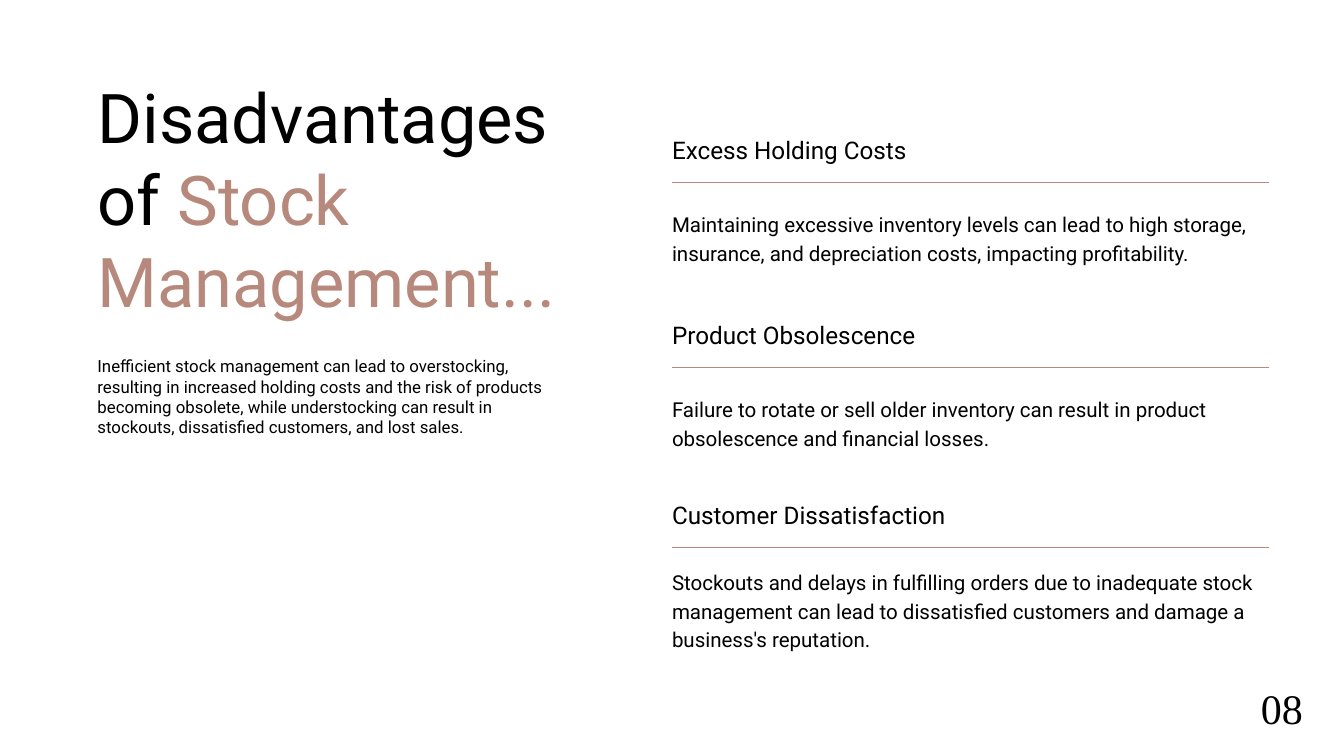
from lxml.etree import SubElement
from pptx import Presentation
from pptx.dml.color import RGBColor
from pptx.enum.shapes import MSO_CONNECTOR as Connector
from pptx.enum.text import PP_ALIGN as Align
from pptx.oxml.ns import qn
from pptx.util import Pt

COLORS = {"background": "FFFFFF", "text": "000000", "accent": "B6897C"}

FORMATS = {
    "title": {"size": 73.5, "name": "Roboto", "line_spacing": 88.2},
    "summary": {"size": 18, "name": "Roboto"},
    "heading": {"size": 26, "name": "Roboto", "line_spacing": 36.4},
    "body": {"size": 22, "name": "Roboto", "line_spacing": 30.8},
    "page_number": {"size": 45, "name": "Times New Roman", "line_spacing": 63,
                    "alignment": Align.CENTER},
}

TITLE = [("Disadvantages of ", "text"), ("Stock Management...", "accent")]
SUMMARY = ("Inefficient stock management can lead to overstocking, resulting in "
           "increased holding costs and the risk of products becoming obsolete, "
           "while understocking can result in stockouts, dissatisfied customers, "
           "and lost sales.")

# Section top, body top, heading, body
SECTIONS = [
    (139.7, 222.5, "Excess Holding Costs",
     "Maintaining excessive inventory levels can lead to high storage, insurance, "
     "and depreciation costs, impacting profitability."),
    (337.7, 421.2, "Product Obsolescence",
     "Failure to rotate or sell older inventory can result in product "
     "obsolescence and financial losses."),
    (530.7, 606.2, "Customer Dissatisfaction",
     "Stockouts and delays in fulfilling orders due to inadequate stock management "
     "can lead to dissatisfied customers and damage a business's reputation."),
]
LEFT_MARGIN = 104.4
SECTION_LEFT, SECTION_WIDTH = 720, 639.4
RULE_OFFSET = 55.4


def add_text(slide, box, runs, style):
    """Add one paragraph; box is left, top, width, height, runs are (text, color)."""
    shape = slide.shapes.add_textbox(*(Pt(length) for length in box))
    frame = shape.text_frame
    frame.word_wrap = True
    for side in ("left", "top", "right", "bottom"):
        setattr(frame, f"margin_{side}", 0)
    paragraph = frame.paragraphs[0]
    for text, color in runs:
        run = paragraph.add_run()
        run.text = text
        run.font.color.rgb = RGBColor.from_string(COLORS[color])
        for name, value in FORMATS[style].items():
            target = run.font if name in ("size", "name") else paragraph
            is_length = name in ("size", "line_spacing")
            setattr(target, name, Pt(value) if is_length else value)


def add_rule(slide, top):
    line = slide.shapes.add_connector(
        Connector.STRAIGHT, Pt(SECTION_LEFT), Pt(top),
        Pt(SECTION_LEFT + SECTION_WIDTH), Pt(top))
    line.line.color.rgb = RGBColor.from_string(COLORS["accent"])
    line.line.width = Pt(0.75)
    SubElement(line._element.spPr, qn("a:effectLst"))


def add_section(slide, top, body_top, heading, body):
    add_text(slide, (SECTION_LEFT, top, SECTION_WIDTH, 35.3),
             [(heading, "text")], "heading")
    add_rule(slide, top + RULE_OFFSET)
    add_text(slide, (SECTION_LEFT, body_top, SECTION_WIDTH, 90.7),
             [(body, "text")], "body")


def main():
    presentation = Presentation()
    presentation.slide_width, presentation.slide_height = Pt(1440), Pt(810)
    slide = presentation.slides.add_slide(presentation.slide_layouts[6])
    fill = slide.background.fill
    fill.solid()
    fill.fore_color.rgb = RGBColor.from_string(COLORS["background"])

    add_text(slide, (LEFT_MARGIN, 79.9, 524.9, 264.2), TITLE, "title")
    add_text(slide, (LEFT_MARGIN, 381.6, 505.4, 87.1), [(SUMMARY, "text")], "summary")
    for section in SECTIONS:
        add_section(slide, *section)
    add_text(slide, (1337.8, 722.2, 71.3, 60.5), [("08", "text")], "page_number")
    presentation.save("out.pptx")


if __name__ == "__main__":
    main()
